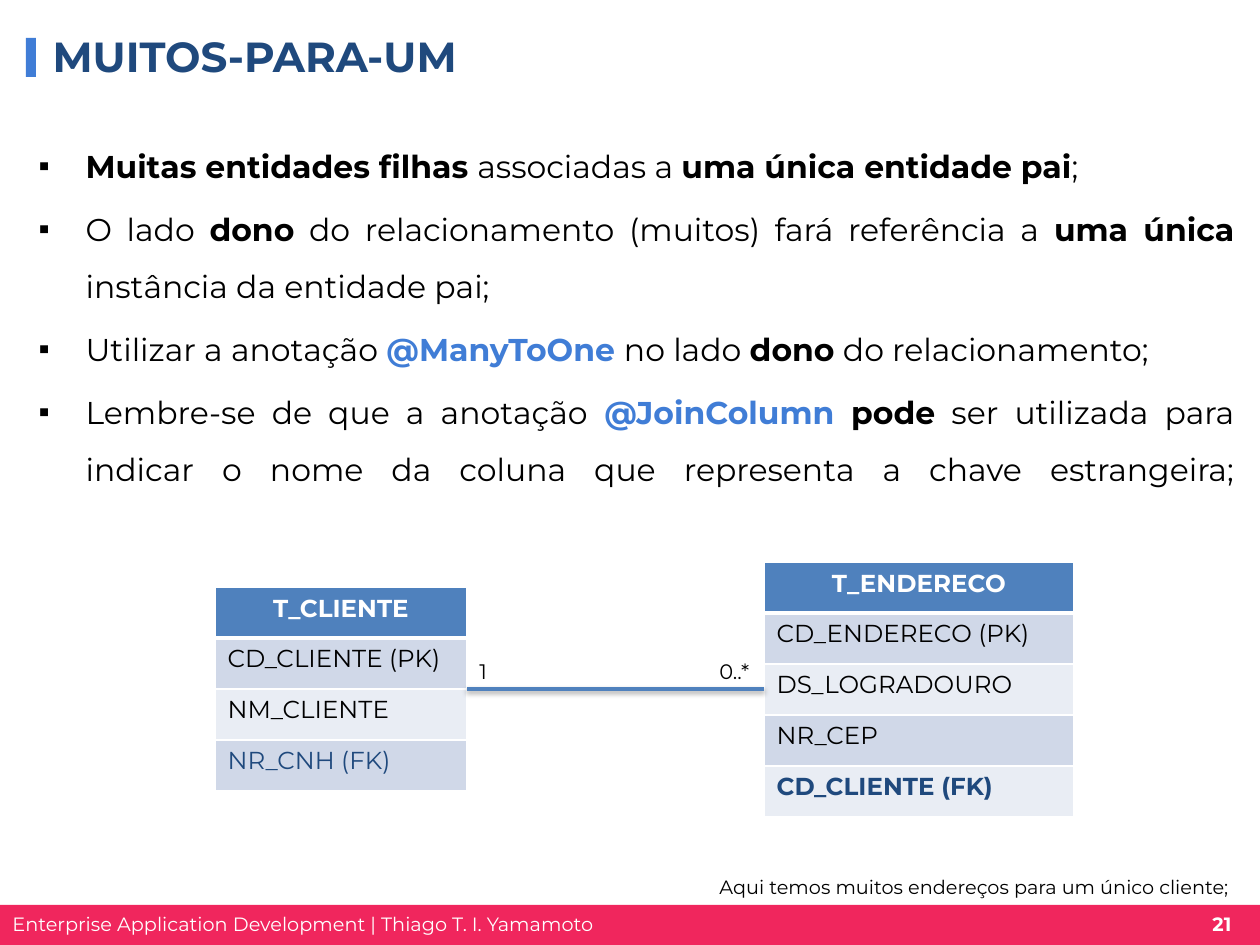
from lxml import etree
from pptx import Presentation
from pptx import util as u
from pptx.dml.color import RGBColor
from pptx.enum import shapes, text
from pptx.oxml import parse_xml
from pptx.oxml.ns import nsdecls, qn

SCALE = 914400 / 126
FONT = "Montserrat"
COLOURS = {
    "black": "000000", "white": "FFFFFF", "navy": "1F497D", "accent": "407DD6",
    "footer": "F0265D", "header": "4F81BD", "dark_band": "D0D8E8", "light_band": "E9EDF4",
}


def px(length):
    return u.Emu(round(length * SCALE))


def colour(name):
    return RGBColor.from_string(COLOURS[name])


def add_span(para, words, size=18, ink="black", bold=False):
    span = para.add_run()
    span.text = words
    span.font.name = FONT
    span.font.size = u.Pt(size)
    span.font.bold = bold
    span.font.color.rgb = colour(ink)
    return span


class Page:
    """Draw styled elements on the current slide, measured in px."""

    def __init__(self, deck):
        self.page = deck.slides.add_slide(deck.slide_layouts[1])
        self.items = self.page.shapes

    def place(self, shape, left, top, width, height):
        shape.left, shape.top = px(left), px(top)
        shape.width, shape.height = px(width), px(height)

    def bar(self, left, top, width, height, fill):
        bar = self.items.add_shape(shapes.MSO_SHAPE.RECTANGLE, *map(px, (left, top, width, height)))
        bar.fill.solid()
        bar.fill.fore_color.rgb = colour(fill)
        bar.line.fill.background()
        bar.shadow.inherit = False

    def label(self, words, left, top, width, height, wrap=False, align=None, spacing=None, **style):
        box = self.items.add_textbox(*map(px, (left, top, width, height)))
        box.text_frame.word_wrap = wrap
        para = box.text_frame.paragraphs[0]
        para.alignment = align
        para.line_spacing = spacing
        add_span(para, words, **style)

    def title(self, words, *area):
        title = self.items.title
        self.place(title, *area)
        title.text_frame.vertical_anchor = text.MSO_ANCHOR.MIDDLE
        title.text_frame.auto_size = text.MSO_AUTO_SIZE.NONE
        para = title.text_frame.paragraphs[0]
        para.alignment = text.PP_ALIGN.LEFT
        add_span(para, words, size=24, ink="navy", bold=True)

    def bullets(self, entries, *area):
        body = self.page.placeholders[1]
        self.place(body, *area)
        frame = body.text_frame
        frame.auto_size = text.MSO_AUTO_SIZE.NONE
        for index, entry in enumerate(entries):
            para = frame.add_paragraph() if index else frame.paragraphs[0]
            para.alignment = text.PP_ALIGN.JUSTIFY
            para.line_spacing = 1.5
            para.space_before = u.Pt(3.6)
            props = para._p.get_or_add_pPr()
            props.set("marL", str(px(47)))
            props.set("indent", str(-px(47)))
            etree.SubElement(props, qn("a:buFont"), typeface="Arial")
            etree.SubElement(props, qn("a:buChar"), char="▪")
            for words, style in entry:
                if words == "\n":
                    para.add_line_break()
                else:
                    add_span(para, words, **style)

    def borders(self, cell, top, bottom):
        props = cell._tc.get_or_add_tcPr()
        for index, (side, points) in enumerate(zip("LRTB", (1, 1, top, bottom))):
            props.insert(index, parse_xml(
                f'<a:ln{side} {nsdecls("a")} w="{u.Pt(points)}"><a:solidFill>'
                f'<a:srgbClr val="{COLOURS["white"]}"/></a:solidFill></a:ln{side}>'))

    def entity(self, name, fields, left, top, width, row_height=51):
        rows = [(name, {"ink": "white", "bold": True})] + fields
        frame = self.items.add_table(
            len(rows), 1, *map(px, (left, top, width, row_height * len(rows))))
        for index, (words, style) in enumerate(rows):
            cell = frame.table.cell(index, 0)
            fill = ("dark_band" if index % 2 else "light_band") if index else "header"
            cell.fill.solid()
            cell.fill.fore_color.rgb = colour(fill)
            self.borders(cell, top=3 if index == 1 else 1, bottom=1 if index else 3)
            para = cell.text_frame.paragraphs[0]
            para.alignment = text.PP_ALIGN.LEFT if index else text.PP_ALIGN.CENTER
            add_span(para, words, size=14, **style)

    def relation(self, left, right, level):
        line = self.items.add_connector(
            shapes.MSO_CONNECTOR.STRAIGHT, *map(px, (left, level, right, level)))
        line.line.color.rgb = colour("header")
        line.line.width = u.Pt(2)
        line._element.spPr.append(parse_xml(
            f'<a:effectLst {nsdecls("a")}><a:outerShdw blurRad="{u.Pt(3.1)}" '
            f'dist="{u.Pt(1.6)}" dir="5400000" rotWithShape="0">'
            f'<a:srgbClr val="{COLOURS["black"]}"><a:alpha val="38000"/></a:srgbClr>'
            '</a:outerShdw></a:effectLst>'))


def main():
    deck = Presentation()
    deck.slide_width, deck.slide_height = px(1260), px(945)
    page = Page(deck)
    plain, bold = {}, {"bold": True}
    accent = {"ink": "accent", "bold": True}

    page.bar(0, 905, 1260, 40, "footer")
    page.bar(26, 38, 10, 39, "accent")
    page.label("Enterprise Application Development | Thiago T. I. Yamamoto",
               0, 906, 614, 36, size=11, ink="white")
    page.label("21", 1196, 906, 52, 36, align=text.PP_ALIGN.CENTER,
               size=11, ink="white", bold=True)
    page.title("MUITOS-PARA-UM", 40, 29, 1008, 54)
    page.bullets([
        [("Muitas entidades filhas ", bold), ("associadas a ", plain),
         ("uma única entidade pai", bold), (";", plain)],
        [("O lado ", plain), ("dono", bold),
         (" do relacionamento (muitos) fará referência a ", plain),
         ("uma única", bold), ("\n", plain), ("instância da entidade pai;", plain)],
        [("Utilizar a anotação ", plain), ("@ManyToOne ", accent), ("no lado ", plain),
         ("dono", bold), (" do relacionamento;", plain)],
        [("Lembre-se de que a anotação ", plain), ("@JoinColumn ", accent), ("pode", bold),
         (" ser utilizada para indicar o nome da coluna que representa a chave estrangeira;",
          plain), ("\n", plain)],
    ], 26, 122, 1221, 350)
    page.entity("T_CLIENTE", [
        ("CD_CLIENTE (PK)", plain), ("NM_CLIENTE", plain), ("NR_CNH (FK)", {"ink": "navy"}),
    ], 215, 587, 252)
    page.entity("T_ENDERECO", [
        ("CD_ENDERECO (PK)", plain), ("DS_LOGRADOURO", plain), ("NR_CEP", plain),
        ("CD_CLIENTE (FK)", {"ink": "navy", "bold": True}),
    ], 764, 562, 310)
    page.relation(467, 764, 689)
    page.label("1", 467, 652, 33, 38, size=12)
    page.label("0..*", 707, 652, 60, 38, size=12)
    page.label("Aqui temos muitos endereços para um único cliente;",
               707, 858, 1221, 350, wrap=True, spacing=1.5, size=11)
    deck.save("out.pptx")


if __name__ == "__main__":
    main()
